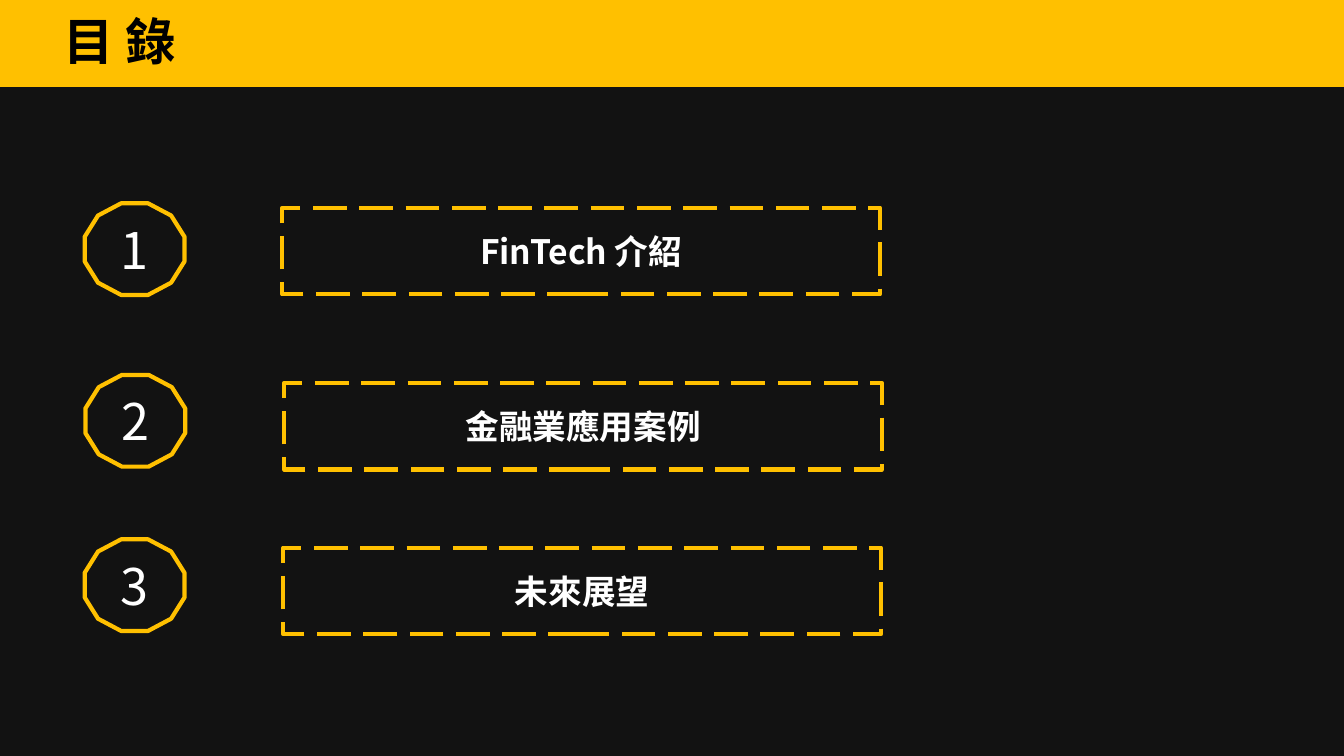
from lxml.etree import SubElement
from pptx import Presentation
from pptx.dml.color import RGBColor
from pptx.enum.dml import MSO_LINE_DASH_STYLE as Dash
from pptx.enum.shapes import MSO_SHAPE as Shape
from pptx.enum.text import MSO_ANCHOR as Anchor, PP_ALIGN as Align
from pptx.oxml.ns import qn
from pptx.util import Pt

COLORS = {"black": "000000", "gold": "FFC000", "white": "FFFFFF"}
FONT = "Noto Sans CJK SC"
FORMATS = {
    "title": {"name": FONT, "size": Pt(36), "bold": True},
    "topic": {"name": FONT, "size": Pt(24), "bold": True},
    "number": {"name": FONT, "size": Pt(36), "bold": False},
}

deck = Presentation()
deck.slide_width, deck.slide_height = Pt(960), Pt(540)
page = deck.slides.add_slide(deck.slide_layouts[6])


def add_box(kind, place, fill=None, line=None, width=3):
    box = page.shapes.add_shape(kind, *map(Pt, place))
    box.shadow.inherit = False
    if fill:
        box.fill.solid()
        box.fill.fore_color.rgb = RGBColor.from_string(COLORS[fill])
    else:
        box.fill.background()
    if line:
        box.line.color.rgb = RGBColor.from_string(COLORS[line])
        box.line.width = Pt(width)
    else:
        box.line.fill.background()
    return box


def write(box, text, style, color, align=Align.CENTER):
    frame = box.text_frame
    frame.word_wrap = True
    frame.vertical_anchor = Anchor.MIDDLE
    para = frame.paragraphs[0]
    para.alignment = align
    span = para.add_run()
    span.text = text
    for name, value in FORMATS[style].items():
        setattr(span.font, name, value)
    span.font.color.rgb = RGBColor.from_string(COLORS[color])
    for properties in box.element.xpath(".//a:rPr"):
        SubElement(properties, qn("a:ea")).set("typeface", FONT)


backdrop = add_box(Shape.RECTANGLE, (-26.6, -4.3, 1024.6, 560.9), "black", "black", 1)
shade = backdrop.element.xpath("./p:spPr/a:solidFill/a:srgbClr")[0]
SubElement(shade, qn("a:alpha")).set("val", "93000")

banner = add_box(Shape.RECTANGLE, (-26.6, -4.3, 1072.8, 66.3), "gold")
banner.text_frame.margin_left = Pt(72)
write(banner, "目 錄", "title", "black", Align.LEFT)

topics = [
    ("FinTech 介紹", (201.6, 148.4), (60.5, 145.2)),
    ("金融業應用案例", (203, 273.5), (61, 267.8)),
    ("未來展望", (202.3, 391.2), (60.5, 385.2)),
]
for number, (topic, topic_corner, number_corner) in enumerate(topics, 1):
    frame_box = add_box(Shape.RECTANGLE, (*topic_corner, 427, 61.9), line="gold")
    frame_box.line.dash_style = Dash.LONG_DASH
    write(frame_box, topic, "topic", "white")
    badge = add_box(Shape.DODECAGON, (*number_corner, 71.3, 65.5), line="gold")
    write(badge, str(number), "number", "white")

deck.save("out.pptx")
